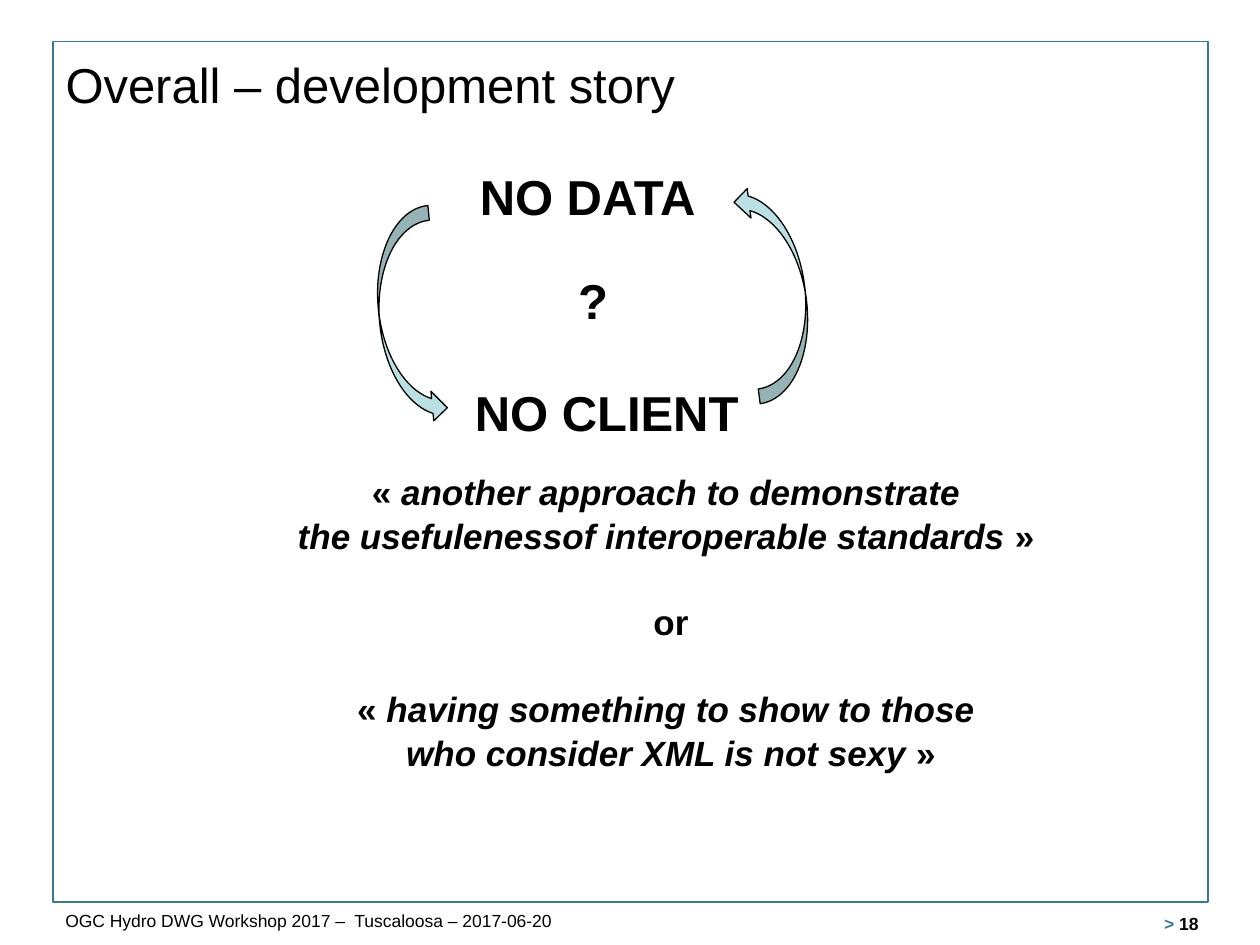
from pptx import Presentation
from pptx.dml.color import RGBColor
from pptx.enum.shapes import MSO_SHAPE
from pptx.enum.text import MSO_ANCHOR, PP_ALIGN
from pptx.util import Inches, Pt

BLACK, TEAL, PALE_BLUE = "000000", "3A7A8F", "BBE0E3"


def color(value):
    return RGBColor.from_string(value)


class SlideBuilder:
    font_name = "Arial"

    def __init__(self, slide):
        self.slide = slide

    def place(self, shape, left, top, width, height):
        shape.left, shape.top = Inches(left), Inches(top)
        shape.width, shape.height = Inches(width), Inches(height)

    def format_run(self, run, size, bold=False, italic=False, ink=BLACK):
        font = run.font
        font.name, font.size = self.font_name, Pt(size)
        font.bold, font.italic = bold, italic
        font.color.rgb = color(ink)

    def title(self, text, *box):
        shape = self.slide.shapes.title
        self.place(shape, *box)
        frame = shape.text_frame
        frame.text = text
        frame.vertical_anchor = MSO_ANCHOR.MIDDLE
        frame.paragraphs[0].alignment = PP_ALIGN.LEFT
        self.format_run(frame.paragraphs[0].runs[0], 28)

    def text(self, lines, *box, size, bold=False, align=PP_ALIGN.LEFT,
             spacing=1.0, wrap=False):
        """Each line is (space before, [(text, italic, colour), ...])."""
        shape = self.slide.shapes.add_textbox(*map(Inches, box))
        frame = shape.text_frame
        frame.word_wrap = wrap
        for index, (space, pieces) in enumerate(lines):
            paragraph = frame.add_paragraph() if index else frame.paragraphs[0]
            paragraph.alignment = align
            paragraph.line_spacing = spacing
            paragraph.space_before = Pt(space)
            for content, italic, ink in pieces:
                run = paragraph.add_run()
                run.text = content
                self.format_run(run, size, bold, italic, ink)

    def shape(self, kind, *box, line, line_width, fill=None, rotation=0):
        shape = self.slide.shapes.add_shape(kind, *map(Inches, box))
        shape.shadow.inherit = False
        shape.rotation = rotation
        if fill:
            shape.fill.solid()
            shape.fill.fore_color.rgb = color(fill)
        else:
            shape.fill.background()
        shape.line.color.rgb = color(line)
        shape.line.width = Pt(line_width)


def main():
    presentation = Presentation()
    presentation.slide_width, presentation.slide_height = Inches(10), Inches(7.5)
    slide = presentation.slides.add_slide(presentation.slide_layouts[5])
    builder = SlideBuilder(slide)

    # Page frame, title and footer
    builder.shape(MSO_SHAPE.RECTANGLE, 0.42, 0.33, 9.17, 6.83,
                  line=TEAL, line_width=1)
    builder.title("Overall – development story", 0.42, 0.33, 9.15, 0.67)
    builder.text([(0, [("> ", False, TEAL), ("18", False, BLACK)])],
                 7.44, 7.2, 2.17, 0.33, size=10, bold=True,
                 align=PP_ALIGN.RIGHT, wrap=True)
    builder.text([(0, [("OGC Hydro DWG Workshop 2017 –  Tuscaloosa – 2017-06-20",
                        False, BLACK)])],
                 0.42, 7.17, 5.06, 0.33, size=10, wrap=True)

    # Vicious circle: labels and the arrows around them
    for label, left, top, width in [("NO DATA", 3.71, 1.23, 1.93),
                                    ("?", 4.49, 2.05, 0.44),
                                    ("NO CLIENT", 3.67, 2.94, 2.32)]:
        builder.text([(0, [(label, False, BLACK)])], left, top, width, 0.77,
                     size=28, bold=True, spacing=1.1)
    for left, top, rotation in [(2.38, 2.28, 84.5), (5.29, 2.08, 262.6)]:
        builder.shape(MSO_SHAPE.CURVED_UP_ARROW, left, top, 1.73, 0.47,
                      line=BLACK, line_width=0.75, fill=PALE_BLUE,
                      rotation=rotation)

    # Two ways to put the motivation
    quotes = [
        (0, [("« ", False, BLACK),
             ("another approach to demonstrate ", True, BLACK)]),
        (0, [("the usefulenessof interoperable standards", True, BLACK),
             (" » ", False, BLACK)]),
        (24, [("or", False, BLACK)]),
        (24, [("« ", False, BLACK),
              ("having something to show to those ", True, BLACK)]),
        (0, [("who consider XML is not sexy", True, BLACK),
             (" »", False, BLACK)]),
    ]
    builder.text(quotes, 2.24, 3.67, 6.17, 2.46, size=20, bold=True,
                 align=PP_ALIGN.CENTER, spacing=1.05)

    presentation.save("out.pptx")


if __name__ == "__main__":
    main()
